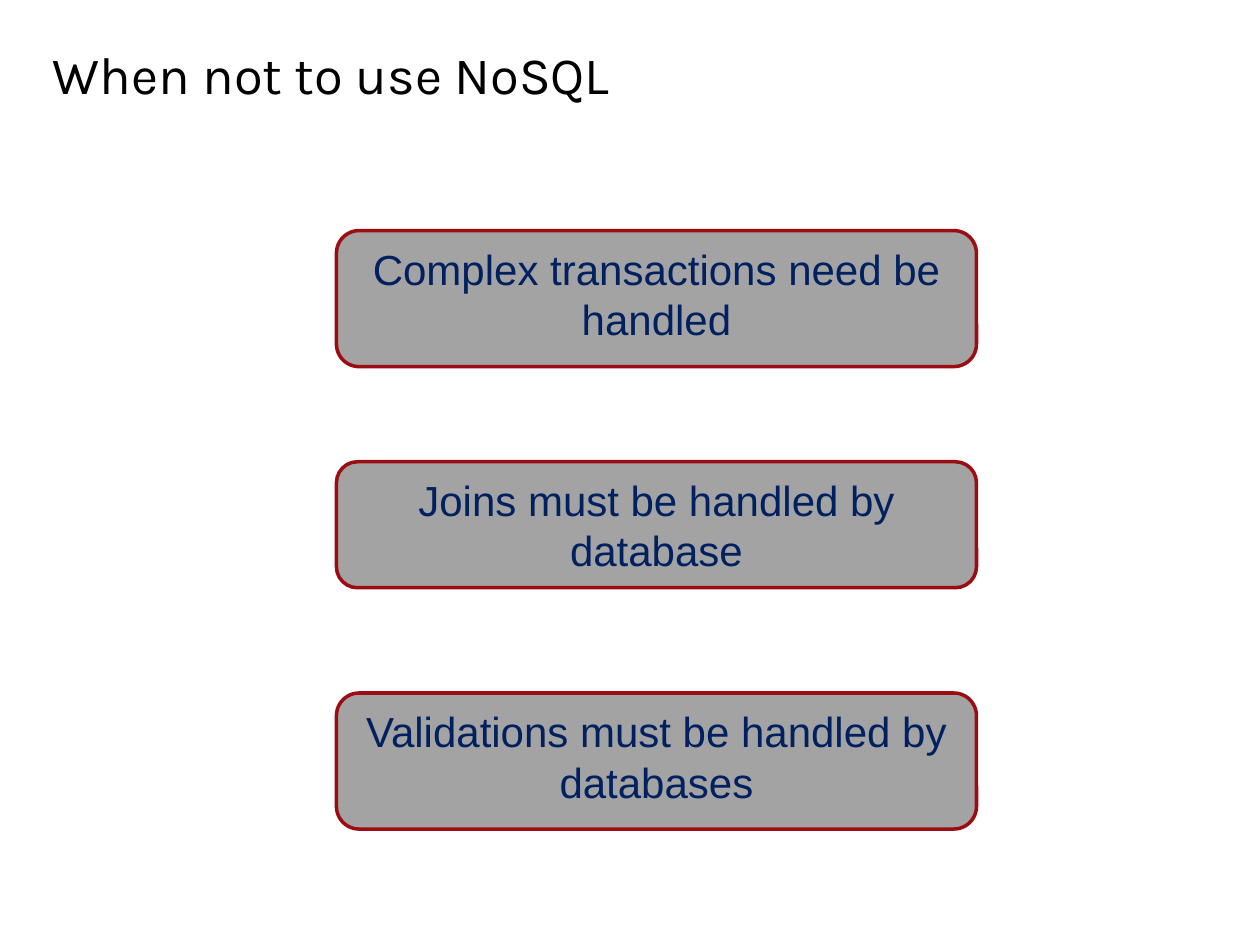
from pptx import Presentation
from pptx.dml.color import RGBColor
from pptx.enum.shapes import MSO_SHAPE
from pptx.enum.text import MSO_ANCHOR, PP_ALIGN
from pptx.util import Inches, Pt

ROUND = MSO_SHAPE.ROUNDED_RECTANGLE
TOP, MIDDLE = MSO_ANCHOR.TOP, MSO_ANCHOR.MIDDLE
LEFT, CENTER = PP_ALIGN.LEFT, PP_ALIGN.CENTER
BLACK = RGBColor(0x00, 0x00, 0x00)
GRAY = RGBColor(0xA3, 0xA3, 0xA3)
RED = RGBColor(0x9B, 0x0D, 0x12)
NAVY = RGBColor(0x00, 0x20, 0x60)

HEAD = {"name": "Karla", "size": Pt(30)}
BODY = {"name": "Arial", "size": Pt(24)}
FLUSH = dict.fromkeys(
    ("margin_left", "margin_top", "margin_right", "margin_bottom"), 0)
CASES = [
    ("Complex transactions need be handled", 1.08, TOP),
    ("Joins must be handled by database", 1, MIDDLE),
    ("Validations must be handled by databases", 1.08, TOP),
]


def apply(target, values):
    for key, value in values.items():
        setattr(target, key, value)


def place(shape, box):
    names = ("left", "top", "width", "height")
    apply(shape, dict(zip(names, map(Inches, box))))


def write(shape, text, style, color, align, anchor):
    frame = shape.text_frame
    frame.text = text
    apply(frame, {"word_wrap": True, "vertical_anchor": anchor})
    para = frame.paragraphs[0]
    para.alignment = align
    font = para.runs[0].font
    apply(font, style)
    font.color.rgb = color


def add_title(slide, box):
    title = slide.shapes.title
    place(title, box)
    write(title, "When not to use NoSQL", HEAD, BLACK, LEFT, TOP)
    apply(title.text_frame, FLUSH)


def add_cases(slide, box):
    left, top, width, height = box
    last = CASES[-1][1]
    step = (height - last) / (len(CASES) - 1)
    for row, (text, tall, anchor) in enumerate(CASES):
        card = slide.shapes.add_shape(ROUND, 0, 0, 0, 0)
        place(card, (left, top + row * step, width, tall))
        card.shadow.inherit = False
        card.fill.solid()
        card.fill.fore_color.rgb = GRAY
        card.line.color.rgb = RED
        card.line.width = Pt(2)
        write(card, text, BODY, NAVY, CENTER, anchor)


def main():
    deck = Presentation()
    apply(deck, {"slide_width": Inches(10), "slide_height": Inches(7.5)})
    slide = deck.slides.add_slide(deck.slide_layouts[5])
    add_title(slide, (0.42, 0.33, 9, 0.67))
    add_cases(slide, (2.67, 1.83, 5.08, 4.75))
    deck.save("out.pptx")


if __name__ == "__main__":
    main()
